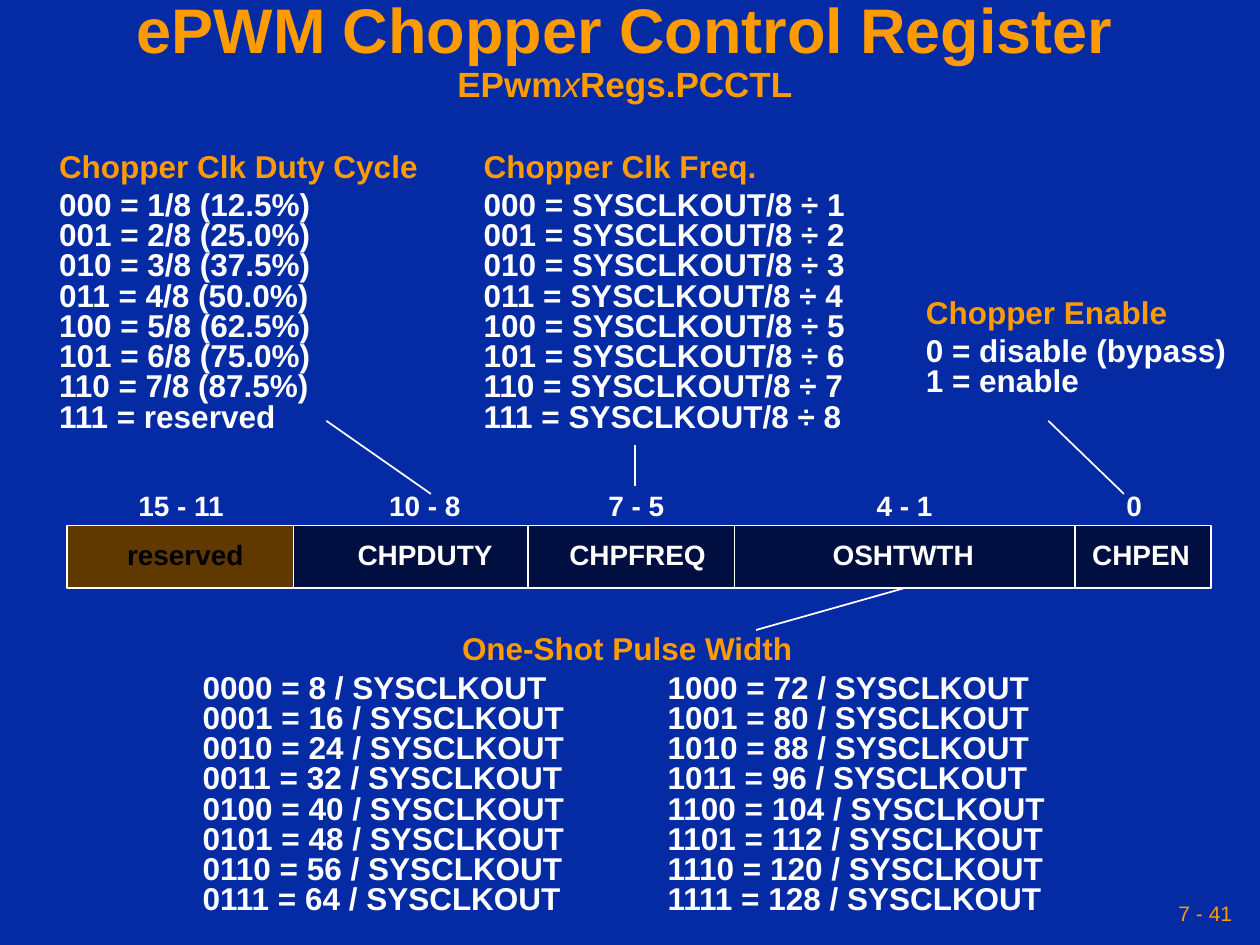
from dataclasses import dataclass

from lxml.etree import SubElement
from pptx import Presentation
from pptx.dml.color import RGBColor
from pptx.enum.shapes import MSO_CONNECTOR as Connector, MSO_SHAPE as Shape
from pptx.enum.text import MSO_ANCHOR as Anchor, MSO_AUTO_SIZE as AutoSize, PP_ALIGN as Align
from pptx.oxml.ns import qn
from pptx.util import Inches, Pt


@dataclass(frozen=True)
class Theme:
    font: str = "Arial"
    background: str = "042AA4"
    accent: str = "FE9B03"
    text: str = "FFFFFF"
    field: str = "000F40"
    reserved: str = "603900"
    reserved_text: str = "000000"
    title: int = 36
    subtitle: int = 20
    body: int = 18
    label: int = 16
    page: int = 12


THEME = Theme()

TITLE = "ePWM Chopper Control Register"
SUBTITLE = [("EPwm", {}), ("x", {"bold": False, "italic": True}), ("Regs.PCCTL", {})]
PAGE = "7 - 41"

# heading, settings, (left, top, width, height), tab stops
PULSE_TABS = ((3.37, "ctr"), (3.69, "l"))
NOTES = [
    ("Chopper Enable", ["0 = disable (bypass)", "1 = enable"], (7.25, 2.33, 2.58, 0.89), ()),
    ("\tOne-Shot Pulse Width",
     [f"{n:04b} = {8 * (n + 1)} / SYSCLKOUT\t\t{n + 8:04b} = {8 * (n + 9)} / SYSCLKOUT"
      for n in range(8)],
     (1.51, 5, 6.89, 2.33), PULSE_TABS),
    ("Chopper Clk Freq.", [f"{n:03b} = SYSCLKOUT/8 ÷ {n + 1}" for n in range(8)],
     (3.74, 1.17, 3.13, 2.33), ()),
    ("Chopper Clk Duty Cycle",
     [f"{n:03b} = {n + 1}/8 ({12.5 * (n + 1)}%)" for n in range(7)] + ["111 = reserved"],
     (0.37, 1.17, 3.05, 2.33), ()),
]

# name, its left and width; bits, their left and width
FIELDS = [
    ("reserved", 0.91, 1.12, "15 - 11", 1, 0.89),
    ("CHPDUTY", 2.74, 1.27, "10 - 8", 2.99, 0.76),
    ("CHPFREQ", 4.42, 1.28, "7 - 5", 4.73, 0.64),
    ("OSHTWTH", 6.51, 1.32, "4 - 1", 6.86, 0.64),
    ("CHPEN", 8.57, 0.97, "0", 8.84, 0.32),
]
REGISTER_LEFT, FIELDS_LEFT, REGISTER_RIGHT = 0.53, 2.33, 9.61
DIVIDERS = [4.19, 5.83, 8.53]
REGISTER_TOP, REGISTER_HEIGHT = 4.17, 0.5
REGISTER_BOTTOM = REGISTER_TOP + REGISTER_HEIGHT
NAME_TOP, BITS_TOP, LABEL_HEIGHT = 4.27, 3.88, 0.32

LEADERS = [
    (7.17, REGISTER_BOTTOM, 6, 5),
    (8.32, 3.34, 8.92, 3.92),
    (5.04, 3.53, 5.04, 3.86),
    (2.59, 3.34, 3.42, 3.92),
]


def rgb(color):
    return RGBColor.from_string(color)


def write(paragraph, text, *, size, color=THEME.text, bold=True, italic=False):
    run = paragraph.add_run()
    run.text = text
    font = run.font
    font.name, font.size, font.bold, font.italic = THEME.font, Pt(size), bold, italic
    font.color.rgb = rgb(color)


def prepare(frame, *, anchor=Anchor.MIDDLE, side=0.1, wrap=False):
    frame.auto_size = AutoSize.NONE
    frame.word_wrap = wrap
    frame.vertical_anchor = anchor
    frame.margin_left = frame.margin_right = Inches(side)
    frame.margin_top = frame.margin_bottom = Inches(0.05)
    return frame


def add_frame(slide, box, **layout):
    return prepare(slide.shapes.add_textbox(*map(Inches, box)).text_frame, **layout)


def set_tabs(paragraph, stops):
    tab_list = SubElement(paragraph._p.get_or_add_pPr(), qn("a:tabLst"))
    for position, align in stops:
        SubElement(tab_list, qn("a:tab"), pos=str(Inches(position)), algn=align)


def add_title(slide):
    title = slide.shapes.title
    title.left, title.top, title.width, title.height = map(Inches, (0, 0, 9.92, 0.83))
    paragraph = prepare(title.text_frame, side=0.05, wrap=True).paragraphs[0]
    paragraph.alignment = Align.CENTER
    paragraph.line_spacing = 0.9
    write(paragraph, TITLE, size=THEME.title, color=THEME.accent)
    paragraph.add_line_break()
    for text, style in SUBTITLE:
        write(paragraph, text, size=THEME.subtitle, color=THEME.accent, **style)


def add_label(slide, text, left, top, width, color=THEME.text):
    frame = add_frame(slide, (left, top, width, LABEL_HEIGHT), anchor=Anchor.TOP)
    paragraph = frame.paragraphs[0]
    paragraph.line_spacing = 0.8
    write(paragraph, text, size=THEME.label, color=color)


def add_note(slide, heading, settings, box, tabs):
    frame = add_frame(slide, box)
    for index, line in enumerate([heading, *settings]):
        paragraph = frame.add_paragraph() if index else frame.paragraphs[0]
        paragraph.line_spacing = 0.8
        paragraph.space_after = Pt(0 if index else 4.5)
        if tabs:
            set_tabs(paragraph, tabs)
        write(paragraph, line, size=THEME.body, color=THEME.text if index else THEME.accent)


def add_line(slide, *ends):
    line = slide.shapes.add_connector(Connector.STRAIGHT, *map(Inches, ends))
    line.line.color.rgb = rgb(THEME.text)
    line.line.width = Pt(1)
    SubElement(line._element.spPr, qn("a:effectLst"))


def add_register(slide):
    for left, right, color in ((FIELDS_LEFT, REGISTER_RIGHT, THEME.field),
                               (REGISTER_LEFT, FIELDS_LEFT, THEME.reserved)):
        bar = slide.shapes.add_shape(Shape.RECTANGLE, *map(
            Inches, (left, REGISTER_TOP, right - left, REGISTER_HEIGHT)))
        bar.shadow.inherit = False
        bar.fill.solid()
        bar.fill.fore_color.rgb = rgb(color)
        bar.line.color.rgb = rgb(THEME.text)
        bar.line.width = Pt(1)
    for x in DIVIDERS:
        add_line(slide, x, REGISTER_TOP, x, REGISTER_BOTTOM)
    for name, name_left, name_width, bits, bits_left, bits_width in FIELDS:
        color = THEME.reserved_text if name == "reserved" else THEME.text
        add_label(slide, name, name_left, NAME_TOP, name_width, color)
        add_label(slide, bits, bits_left, BITS_TOP, bits_width)


def main():
    deck = Presentation()
    deck.slide_width, deck.slide_height = Inches(10), Inches(7.5)
    slide = deck.slides.add_slide(deck.slide_layouts.get_by_name("Title Only"))
    slide.background.fill.solid()
    slide.background.fill.fore_color.rgb = rgb(THEME.background)

    add_title(slide)
    add_register(slide)
    for note in NOTES:
        add_note(slide, *note)
    for leader in LEADERS:
        add_line(slide, *leader)

    page = add_frame(slide, (6.83, 7.08, 3, 0.33), side=0.05, wrap=True).paragraphs[0]
    page.alignment = Align.RIGHT
    write(page, PAGE, size=THEME.page, color=THEME.accent, bold=False)
    deck.save("out.pptx")


if __name__ == "__main__":
    main()
